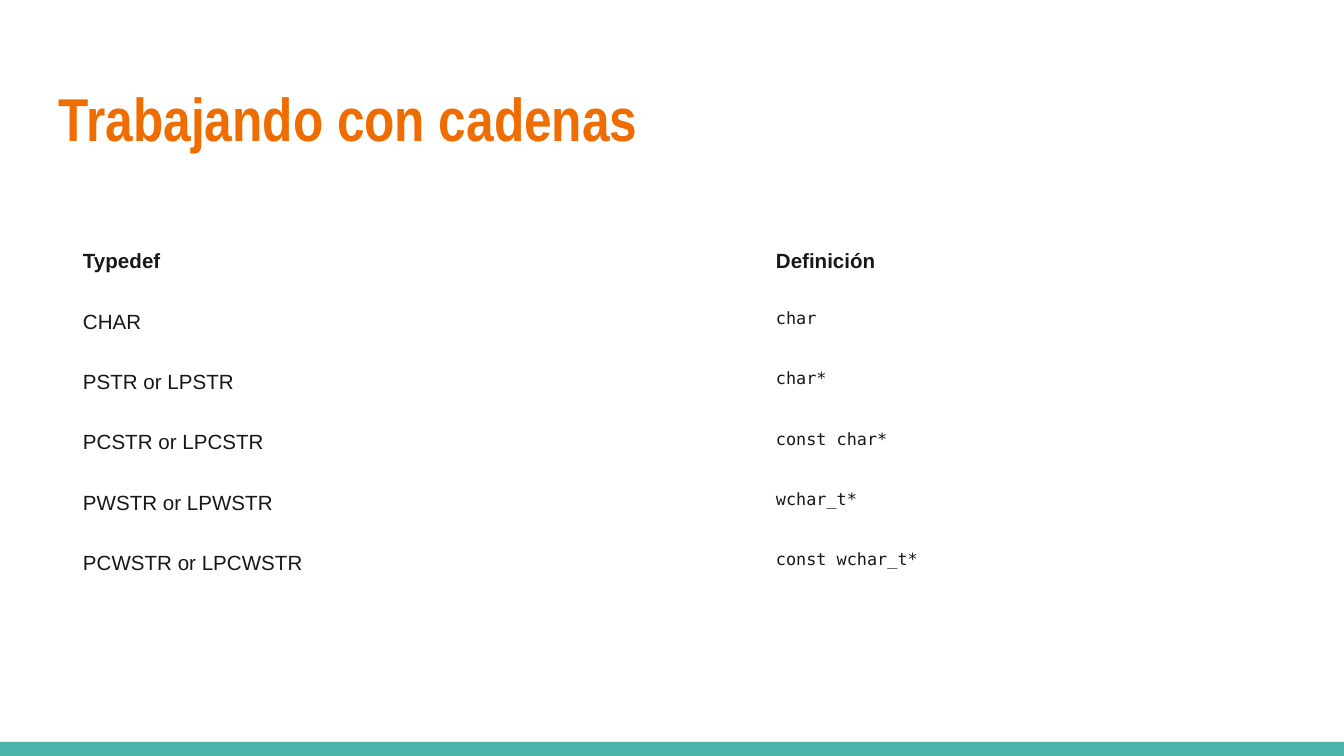
import pptx
import pptx.dml.color
import pptx.enum.shapes
import pptx.enum.text
import pptx.util

RGBColor = pptx.dml.color.RGBColor
ORANGE = RGBColor(0xEF, 0x6C, 0x00)
TEAL = RGBColor(0x4D, 0xB6, 0xAC)
INK = RGBColor(0x17, 0x17, 0x17)
WHITE = RGBColor(0xFF, 0xFF, 0xFF)

SLIDE_W, SLIDE_H = 1344, 756
SCALE = pptx.util.Inches(10) / SLIDE_W
INSET = 13
ROW_H = 54

TYPEDEFS = [
    ("Typedef", "Definición"),
    ("CHAR", "char"),
    ("PSTR or LPSTR", "char*"),
    ("PCSTR or LPCSTR", "const char*"),
    ("PWSTR or LPWSTR", "wchar_t*"),
    ("PCWSTR or LPCWSTR", "const wchar_t*"),
]


def px(n):
    return pptx.util.Emu(round(n * SCALE))


def set_insets(target):
    """Give a cell or text frame the same margin on all four sides."""
    target.margin_left = target.margin_right = px(INSET)
    target.margin_top = target.margin_bottom = px(INSET)


def format_run(r, font, size, color, bold=False):
    r.font.name = font
    r.font.size = pptx.util.Pt(size)
    r.font.color.rgb = color
    r.font.bold = bold


def add_title(slide, x, y, w, h, text):
    sp = slide.shapes.title
    sp.left, sp.top, sp.width, sp.height = px(x), px(y), px(w), px(h)
    tf = sp.text_frame
    tf.text = text
    tf.word_wrap = True
    tf.auto_size = pptx.enum.text.MSO_AUTO_SIZE.NONE
    tf.vertical_anchor = pptx.enum.text.MSO_ANCHOR.MIDDLE
    set_insets(tf)
    p = tf.paragraphs[0]
    p.alignment = pptx.enum.text.PP_ALIGN.LEFT
    format_run(p.runs[0], "Arial Narrow", 32.4, ORANGE, True)


def add_typedef_table(slide, x, y, col_widths, rows):
    frame = slide.shapes.add_table(
        len(rows), len(col_widths), px(x), px(y),
        px(sum(col_widths)), px(ROW_H * len(rows)))
    table = frame.table
    for column, width in zip(table.columns, col_widths):
        column.width = px(width)
    for i, row in enumerate(rows):
        for j, text in enumerate(row):
            cell = table.cell(i, j)
            cell.fill.solid()
            cell.fill.fore_color.rgb = WHITE
            set_insets(cell)
            p = cell.text_frame.paragraphs[0]
            p.text = text
            p.line_spacing = 1.5
            is_code = i > 0 and j == 1
            font, size = ("DejaVu Sans Mono", 9) if is_code else ("Arial", 11)
            format_run(p.runs[0], font, size, INK, bold=i == 0)


def add_footer_bar(slide, x, y, w, h):
    sp = slide.shapes.add_shape(
        pptx.enum.shapes.MSO_SHAPE.RECTANGLE, px(x), px(y), px(w), px(h))
    sp.shadow.inherit = False
    sp.fill.solid()
    sp.fill.fore_color.rgb = TEAL
    sp.line.fill.background()


def main():
    prs = pptx.Presentation()
    prs.slide_width, prs.slide_height = px(SLIDE_W), px(SLIDE_H)
    slide = prs.slides.add_slide(prs.slide_layouts[5])
    add_footer_bar(slide, 0, 742, SLIDE_W, SLIDE_H - 742)
    add_title(slide, 46, 66, 1252, 103, "Trabajando con cadenas")
    add_typedef_table(slide, 70, 226, (693, 511), TYPEDEFS)
    prs.save("out.pptx")


if __name__ == "__main__":
    main()
